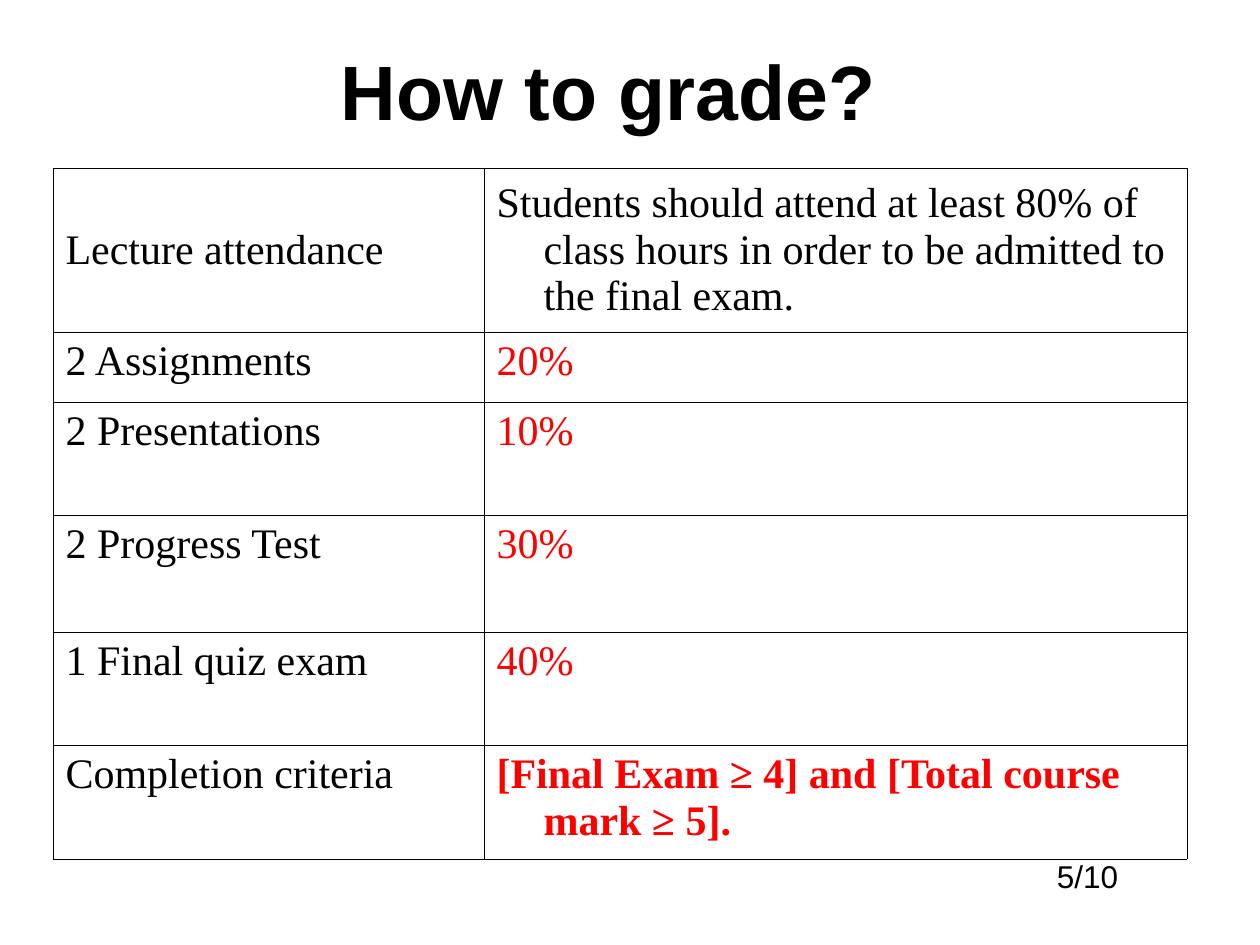
import pptx
import pptx.dml.color
import pptx.enum.text
import pptx.oxml
import pptx.oxml.ns
import pptx.util

EMU_PER_PX = 914400 / 126
COLORS = {"ink": "000000", "mark": "FF0000"}
ANCHOR = pptx.enum.text.MSO_ANCHOR
CENTER = pptx.enum.text.PP_ALIGN.CENTER

COLUMN_WIDTHS = (431, 703)
ROW_HEIGHTS = (164, 70, 113, 117, 113, 114)
INDENT = 47
CRITERIA = (
    ("Lecture attendance",
     "Students should attend at least 80% of class hours in order to be "
     "admitted to the final exam."),
    ("2 Assignments", "20%"),
    ("2 Presentations", "10%"),
    ("2 Progress Test", "30%"),
    ("1 Final quiz exam", "40%"),
    ("Completion criteria", "[Final Exam ≥ 4] and [Total course mark ≥ 5]."),
)


def px(length):
    return pptx.util.Emu(round(length * EMU_PER_PX))


def write(paragraph, text, color, **font_format):
    run = paragraph.add_run()
    run.text = text
    run.font.color.rgb = pptx.dml.color.RGBColor.from_string(COLORS[color])
    for attribute, value in font_format.items():
        setattr(run.font, attribute, value)


def add_label(slide, box, text, anchor, **font_format):
    label = slide.shapes.add_textbox(*map(px, box))
    frame = label.text_frame
    frame.word_wrap = True
    frame.vertical_anchor = anchor
    frame.paragraphs[0].alignment = CENTER
    write(frame.paragraphs[0], text, "ink", name="Arial", **font_format)


def add_borders(cell):
    """Rule all four sides; the schema wants the lines ahead of the fill."""
    properties = cell._tc.get_or_add_tcPr()
    for position, side in enumerate("LRTB"):
        properties.insert(position, pptx.oxml.parse_xml(
            f'<a:ln{side} {pptx.oxml.ns.nsdecls("a")} w="5715"><a:solidFill>'
            f'<a:srgbClr val="{COLORS["ink"]}"/></a:solidFill></a:ln{side}>'))


def fill_cell(cell, text, anchor, color, bold):
    cell.fill.background()
    add_borders(cell)
    cell.vertical_anchor = anchor
    paragraph = cell.text_frame.paragraphs[0]
    hanging = paragraph._p.get_or_add_pPr()
    hanging.set("marL", str(px(INDENT)))
    hanging.set("indent", str(-px(INDENT)))
    write(paragraph, text, color, name="Times New Roman",
          size=pptx.util.Pt(24), bold=bold)


def add_grading_table(slide, box):
    grading = slide.shapes.add_table(
        len(CRITERIA), len(COLUMN_WIDTHS), *map(px, box)).table
    grading.first_row = grading.horz_banding = False
    for column, width in zip(grading.columns, COLUMN_WIDTHS):
        column.width = px(width)
    for row, height in zip(grading.rows, ROW_HEIGHTS):
        row.height = px(height)

    last = len(CRITERIA) - 1
    for index, (criterion, requirement) in enumerate(CRITERIA):
        anchor = ANCHOR.TOP if index else ANCHOR.MIDDLE
        fill_cell(grading.cell(index, 0), criterion, anchor, "ink", False)
        fill_cell(grading.cell(index, 1), requirement, anchor,
                  "mark" if index else "ink", index == last)


def main():
    presentation = pptx.Presentation()
    presentation.slide_width, presentation.slide_height = px(1260), px(945)
    slide = presentation.slides.add_slide(presentation.slide_layouts[6])
    add_label(slide, (998, 851, 179, 88), "5/10", ANCHOR.TOP,
              size=pptx.util.Pt(18))
    add_label(slide, (147, 37, 923, 106), "How to grade?", ANCHOR.MIDDLE,
              size=pptx.util.Pt(44), bold=True)
    add_grading_table(
        slide, (53, 168, sum(COLUMN_WIDTHS), sum(ROW_HEIGHTS)))
    presentation.save("out.pptx")


if __name__ == "__main__":
    main()
